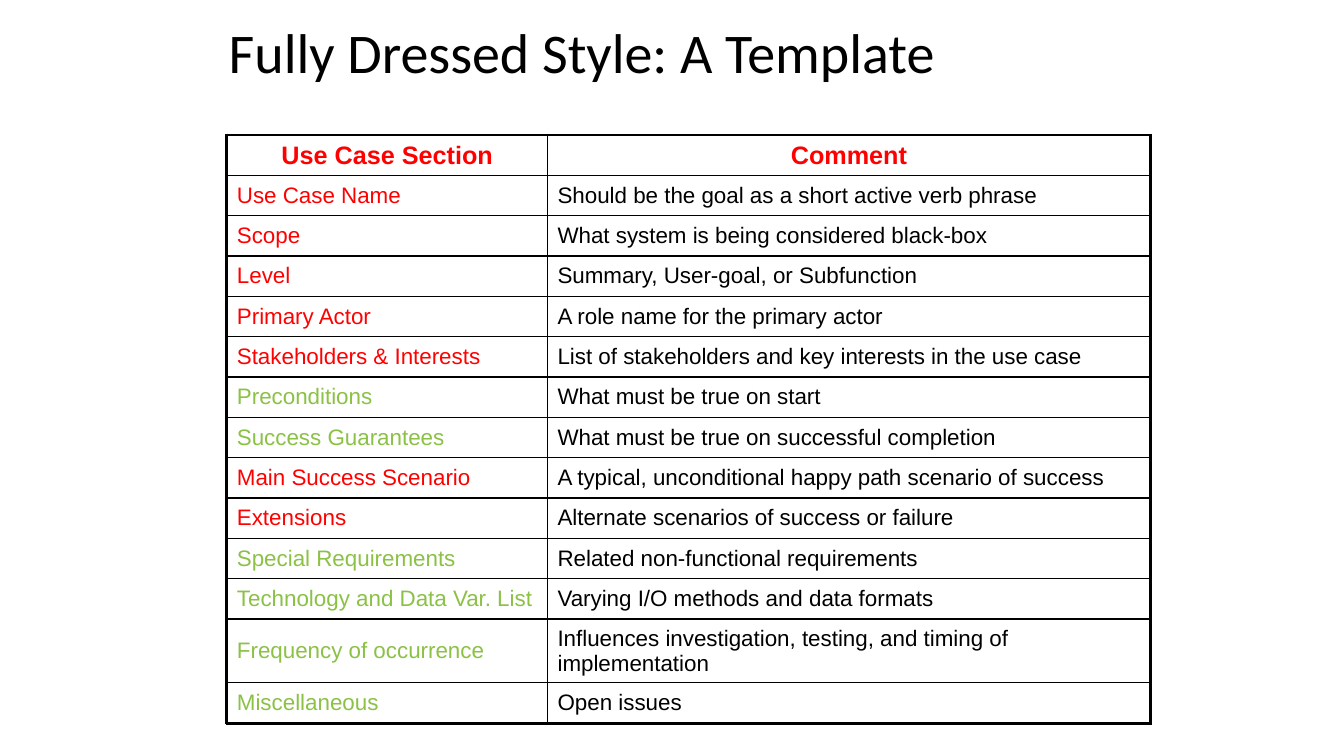
import pptx
import pptx.dml.color
import pptx.enum.text
import pptx.util
from lxml import etree
from pptx.oxml.ns import qn

RED = pptx.dml.color.RGBColor(0xFF, 0x00, 0x00)
GREEN = pptx.dml.color.RGBColor(0x8B, 0xC1, 0x45)
BLACK = pptx.dml.color.RGBColor(0x00, 0x00, 0x00)
ALIGN = pptx.enum.text.PP_ALIGN
MIDDLE = pptx.enum.text.MSO_ANCHOR.MIDDLE
Inches = pptx.util.Inches

# Layout in inches: one table line is the unit of height
UNIT = 0.4
COLS = [3.18, 5.98]
LEFT, TOP = 2.25, 1.34
THICK, THIN = 2.25, 1

ROWS = [
    ("Use Case Section", "Comment", RED),
    ("Use Case Name", "Should be the goal as a short active verb phrase", RED),
    ("Scope", "What system is being considered black-box", RED),
    ("Level", "Summary, User-goal, or Subfunction", RED),
    ("Primary Actor", "A role name for the primary actor", RED),
    ("Stakeholders & Interests", "List of stakeholders and key interests in the use case", RED),
    ("Preconditions", "What must be true on start", GREEN),
    ("Success Guarantees", "What must be true on successful completion", GREEN),
    ("Main Success Scenario", "A typical, unconditional happy path scenario of success", RED),
    ("Extensions", "Alternate scenarios of success or failure", RED),
    ("Special Requirements", "Related non-functional requirements", GREEN),
    ("Technology and Data Var. List", "Varying I/O methods and data formats", GREEN),
    ("Frequency of occurrence", "Influences investigation, testing, and timing of implementation", GREEN),
    ("Miscellaneous", "Open issues", GREEN),
]
TALL = 12  # the row whose comment takes two lines


def add_run(para, text, font, size, color, bold=False):
    run = para.add_run()
    run.text = text
    run.font.name = font
    run.font.size = pptx.util.Pt(size)
    run.font.color.rgb = color
    run.font.bold = bold


def add_edge(cell, spot, side, width):
    props = cell._tc.get_or_add_tcPr()
    line = etree.Element(qn("a:ln" + side), w=str(pptx.util.Pt(width)))
    fill = etree.SubElement(line, qn("a:solidFill"))
    etree.SubElement(fill, qn("a:srgbClr"), val=str(BLACK))
    props.insert(spot, line)


deck = pptx.Presentation()
deck.slide_width = Inches(13.33)
deck.slide_height = Inches(7.5)
slide = deck.slides.add_slide(deck.slide_layouts[6])

# Title
title = slide.shapes.add_textbox(Inches(2.17), Inches(-0.08), Inches(9), Inches(1.25))
frame = title.text_frame
frame.word_wrap = True
frame.vertical_anchor = MIDDLE
frame.paragraphs[0].line_spacing = 0.9
add_run(frame.paragraphs[0], "Fully Dressed Style: A Template", "Calibri", 40, BLACK)

# Table grid
last = len(ROWS) - 1
high = UNIT * (len(ROWS) + 0.5)
table = slide.shapes.add_table(
    len(ROWS), len(COLS), Inches(LEFT), Inches(TOP), Inches(sum(COLS)), Inches(high)
).table
table.first_row = False
table.horz_banding = False
for col, width in zip(table.columns, COLS):
    col.width = Inches(width)

# Cells: text, then thick outer and thin inner edges
for r, (name, note, color) in enumerate(ROWS):
    table.rows[r].height = Inches(UNIT * (1.5 if r == TALL else 1))
    head = r == 0
    for c, text in enumerate((name, note)):
        cell = table.cell(r, c)
        cell.fill.background()
        cell.vertical_anchor = MIDDLE
        para = cell.text_frame.paragraphs[0]
        para.alignment = ALIGN.CENTER if head else ALIGN.LEFT
        tint = color if head or c == 0 else BLACK
        add_run(para, text, "Arial", 18 if head else 16, tint, head)
        edges = [("L", c == 0), ("R", c == 1), ("T", head), ("B", r == last)]
        for spot, (side, outer) in enumerate(edges):
            add_edge(cell, spot, side, THICK if outer else THIN)

deck.save("out.pptx")
